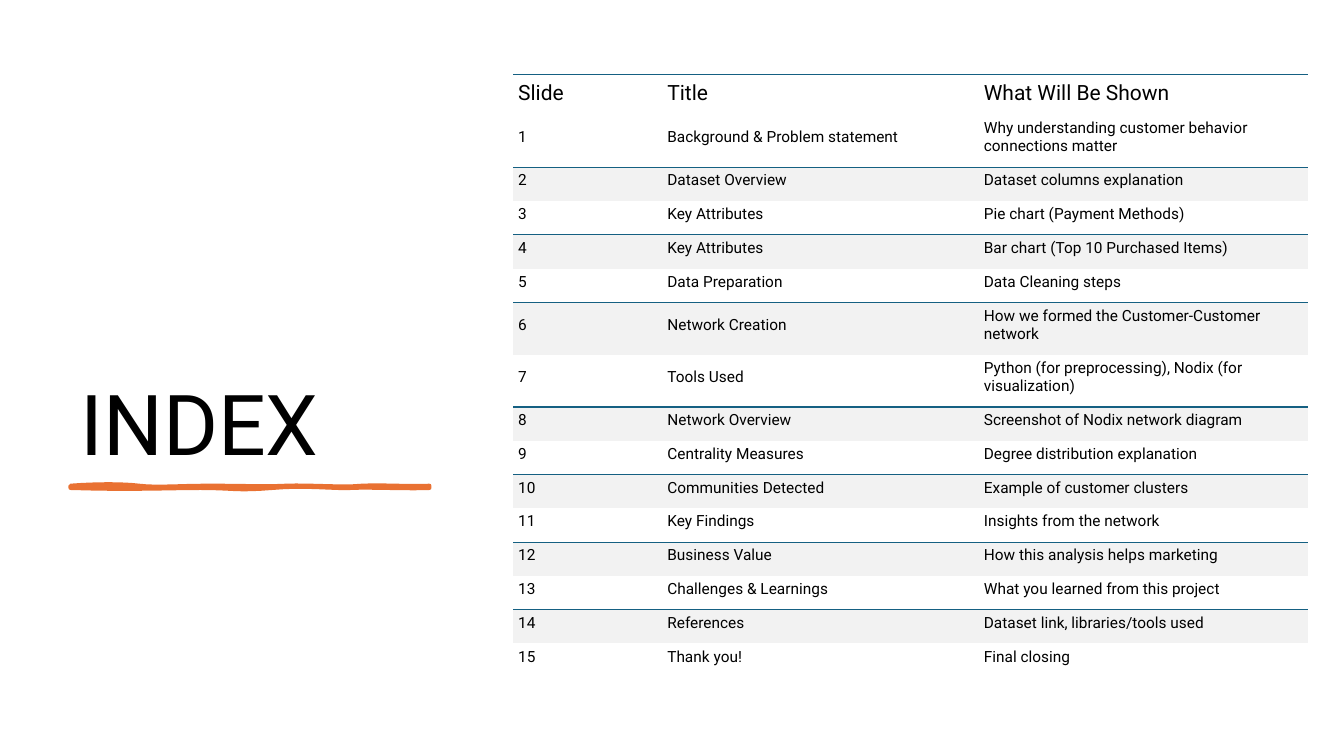
from pptx import Presentation
from pptx.dml.color import RGBColor
from pptx.enum.text import MSO_ANCHOR
from pptx.oxml import parse_xml
from pptx.oxml.ns import nsdecls, qn
from pptx.util import Pt

FONT = "Roboto"
COLORS = {"text": "000000", "rule": "156082", "band": "F2F2F2", "stroke": "E97132"}
NO_GRID = "{2D5ABB26-0587-4C30-8999-92F81FD0307C}"

HEADS = ("Slide", "Title", "What Will Be Shown")
TOPICS = [
    ("Background & Problem statement", "Why understanding customer behavior connections matter"),
    ("Dataset Overview", "Dataset columns explanation"),
    ("Key Attributes", "Pie chart (Payment Methods)"),
    ("Key Attributes", "Bar chart (Top 10 Purchased Items)"),
    ("Data Preparation", "Data Cleaning steps"),
    ("Network Creation", "How we formed the Customer-Customer network"),
    ("Tools Used", "Python (for preprocessing), Nodix (for visualization)"),
    ("Network Overview", "Screenshot of Nodix network diagram"),
    ("Centrality Measures", "Degree distribution explanation"),
    ("Communities Detected", "Example of customer clusters"),
    ("Key Findings", "Insights from the network"),
    ("Business Value", "How this analysis helps marketing"),
    ("Challenges & Learnings", "What you learned from this project"),
    ("References", "Dataset link, libraries/tools used"),
    ("Thank you!", "Final closing"),
]
COLS = (106.6, 226.1, 235.4)
HEAD_H, ROW_H, TALL_H = 28.9, 24.15, 37.4
TALL = (1, 6, 7)

# Each curve: two control points and an end point.
START = (50.4, 347)
CURVES = [
    ((69.8, 345.6), (87.1, 345.6), (99.4, 347)),
    ((111.6, 348.5), (127.4, 347), (150.5, 347)),
    ((173.5, 347), (187.2, 347.8), (204.5, 347)),
    ((221.8, 346.3), (244.1, 348.5), (258.5, 347)),
    ((272.9, 346.3), (296.6, 347.8), (306.7, 347)),
    ((306.7, 347.5), (306.7, 348), (306.7, 348.5)),
    ((293.8, 349.2), (262.1, 347.8), (250.6, 348.5)),
    ((239, 349.2), (218.9, 346.3), (194.4, 348.5)),
    ((169.2, 350.6), (166.3, 348.5), (143.3, 348.5)),
    ((119.5, 348.5), (95, 349.9), (50.4, 348.5)),
]


def color(name):
    return RGBColor.from_string(COLORS[name])


def add_run(para, text, size):
    run = para.add_run()
    run.text = text
    run.font.name = FONT
    run.font.size = Pt(size)
    run.font.color.rgb = color("text")


def add_title(slide, text):
    box = slide.shapes.add_textbox(Pt(50.4), Pt(270), Pt(281.5), Pt(217.4))
    box.text_frame.word_wrap = True
    para = box.text_frame.paragraphs[0]
    para.line_spacing = 0.9
    para.space_before = Pt(10)
    add_run(para, text, 60)


def trace(start, curves, steps=8):
    """Return points along a chain of cubic Bezier curves."""
    points = []
    for a, b, end in curves:
        for step in range(1, steps + 1):
            t = step / steps
            u = 1 - t
            points.append(tuple(
                Pt(u**3 * p + 3 * u * u * t * q + 3 * u * t * t * r + t**3 * s)
                for p, q, r, s in zip(start, a, b, end)))
        start = end
    return points


def add_stroke(slide):
    builder = slide.shapes.build_freeform(Pt(START[0]), Pt(START[1]))
    builder.add_line_segments(trace(START, CURVES), close=True)
    stroke = builder.convert_to_shape()
    stroke.shadow.inherit = False
    stroke.fill.solid()
    stroke.fill.fore_color.rgb = color("stroke")
    stroke.line.color.rgb = color("stroke")
    stroke.line.width = Pt(3)


def add_rule(cell, side):
    """Draw a cell border; side is T or B."""
    rule = parse_xml(
        f'<a:ln{side} {nsdecls("a")} w="{Pt(1)}"><a:solidFill>'
        f'<a:srgbClr val="{COLORS["rule"]}"/></a:solidFill></a:ln{side}>')
    cell._tc.get_or_add_tcPr().insert(0, rule)


def fill_cell(cell, text, row, last):
    cell.margin_left = cell.margin_right = Pt(3.6)
    cell.margin_top, cell.margin_bottom = Pt(1.4), Pt(6.5)
    cell.vertical_anchor = MSO_ANCHOR.MIDDLE if row else MSO_ANCHOR.BOTTOM
    add_run(cell.text_frame.paragraphs[0], text, 11 if row else 15)
    if row and row % 2 == 0:
        cell.fill.solid()
        cell.fill.fore_color.rgb = color("band")
    else:
        cell.fill.background()
    if row == 0:
        add_rule(cell, "T")
    elif row % 2 and row < last:
        add_rule(cell, "B")


def add_index(slide):
    rows = [HEADS] + [(str(n), *topic) for n, topic in enumerate(TOPICS, 1)]
    highs = [HEAD_H] + [TALL_H if n in TALL else ROW_H for n in range(1, len(rows))]
    frame = slide.shapes.add_table(
        len(rows), len(COLS), Pt(366.5), Pt(53.2), Pt(sum(COLS)), Pt(sum(highs)))
    table = frame.table
    table.first_row = table.horz_banding = False
    next(frame.element.iter(qn("a:tableStyleId"))).text = NO_GRID
    for col, width in zip(table.columns, COLS):
        col.width = Pt(width)
    for row, (texts, high) in enumerate(zip(rows, highs)):
        table.rows[row].height = Pt(high)
        for col, text in enumerate(texts):
            fill_cell(table.cell(row, col), text, row, len(rows) - 1)


def main():
    deck = Presentation()
    deck.slide_width, deck.slide_height = Pt(960), Pt(540)
    slide = deck.slides.add_slide(deck.slide_layouts[6])
    add_title(slide, "INDEX")
    add_stroke(slide)
    add_index(slide)
    deck.save("out.pptx")


if __name__ == "__main__":
    main()
